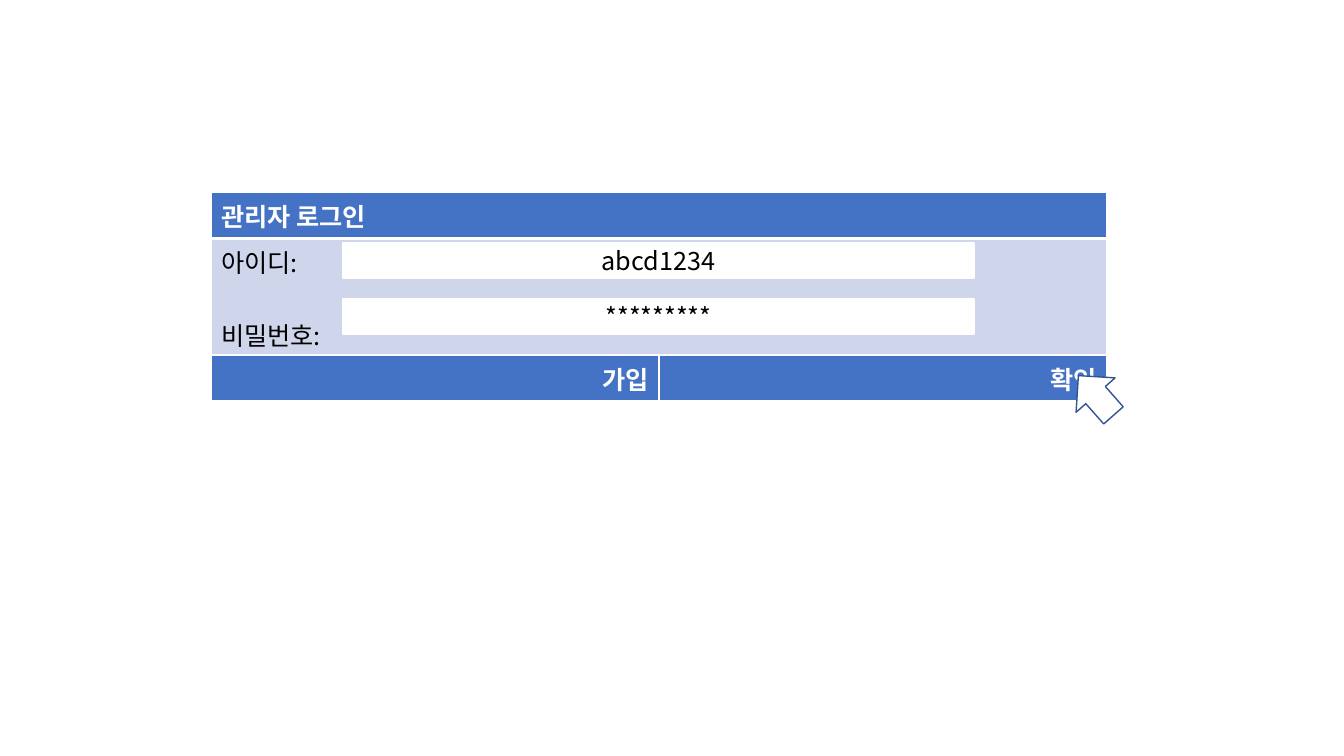
from lxml import etree
from pptx import Presentation
from pptx.dml.color import RGBColor
from pptx.enum.shapes import MSO_SHAPE
from pptx.enum.text import MSO_ANCHOR, PP_ALIGN
from pptx.oxml.ns import qn
from pptx.util import Emu, Pt

LEFT, CENTER, RIGHT = PP_ALIGN.LEFT, PP_ALIGN.CENTER, PP_ALIGN.RIGHT
RECT, UP_ARROW = MSO_SHAPE.RECTANGLE, MSO_SHAPE.UP_ARROW
MIDDLE = MSO_ANCHOR.MIDDLE
FONT = "Noto Sans CJK KR"
WHITE, BLACK, BLUE, PALE, NAVY = "FFFFFF", "000000", "4472C4", "CFD5EA", "325491"
PX = 914400 / 100.8


def rgb(value):
    return RGBColor.from_string(value)


def write(p, text, color=BLACK, bold=False, align=LEFT, before=0):
    p.alignment = align
    p.space_before = Pt(before)
    r = p.add_run()
    r.text = text
    r.font.size = Pt(18)
    r.font.name = FONT
    r.font.bold = bold
    r.font.color.rgb = rgb(color)
    etree.SubElement(r.font._element, qn("a:ea"), typeface=FONT)


prs = Presentation()
prs.slide_width, prs.slide_height = Emu(round(1344 * PX)), Emu(round(756 * PX))
slide = prs.slides.add_slide(prs.slide_layouts[6])

# Tables: top, row heights, column widths
tables = []
for top, heights, widths in [(192, [46, 118], [896]), (355, [41], [448, 448])]:
    box = [Emu(round(v * PX)) for v in (211, top, sum(widths), sum(heights))]
    table = slide.shapes.add_table(len(heights), len(widths), *box).table
    for row, height in zip(table.rows, heights):
        row.height = Emu(round(height * PX))
    for column, width in zip(table.columns, widths):
        column.width = Emu(round(width * PX))
    tables.append(table)
login, buttons = tables

# Cells: fill, top and bottom border widths, paragraphs
cells = [
    (login.cell(0, 0), BLUE, 1, 3, [("관리자 로그인", dict(color=WHITE, bold=True))]),
    (login.cell(1, 0), PALE, 3, 1, [("아이디:", {}), ("비밀번호:", dict(before=26))]),
]
for i, label in enumerate(["가입", "확인"]):
    style = dict(color=WHITE, bold=True, align=RIGHT)
    cells.append((buttons.cell(0, i), BLUE, 1, 3, [(label, style)]))

for cell, fill, top, bottom, lines in cells:
    tcPr = cell._tc.get_or_add_tcPr()
    for side, width in [("L", 1), ("R", 1), ("T", top), ("B", bottom)]:
        ln = etree.SubElement(tcPr, qn("a:ln" + side), w=str(Pt(width)))
        solid = etree.SubElement(ln, qn("a:solidFill"))
        etree.SubElement(solid, qn("a:srgbClr"), val=WHITE)
    cell.fill.solid()
    cell.fill.fore_color.rgb = rgb(fill)
    tf = cell.text_frame
    for i, (text, style) in enumerate(lines):
        write(tf.add_paragraph() if i else tf.paragraphs[0], text, **style)

# Input fields and mouse pointer
for kind, box, line, angle, text in [
    (RECT, (343, 243, 631, 35), WHITE, 0, "abcd1234"),
    (RECT, (343, 299, 631, 35), WHITE, 0, "*********"),
    (UP_ARROW, (1070, 369, 52, 53), NAVY, 318.6, ""),
]:
    sp = slide.shapes.add_shape(kind, *[Emu(round(v * PX)) for v in box])
    sp.shadow.inherit = False
    sp.rotation = angle
    sp.fill.solid()
    sp.fill.fore_color.rgb = rgb(WHITE)
    sp.line.color.rgb = rgb(line)
    sp.line.width = Pt(1)
    if text:
        sp.text_frame.vertical_anchor = MIDDLE
        write(sp.text_frame.paragraphs[0], text, align=CENTER)

prs.save("out.pptx")
